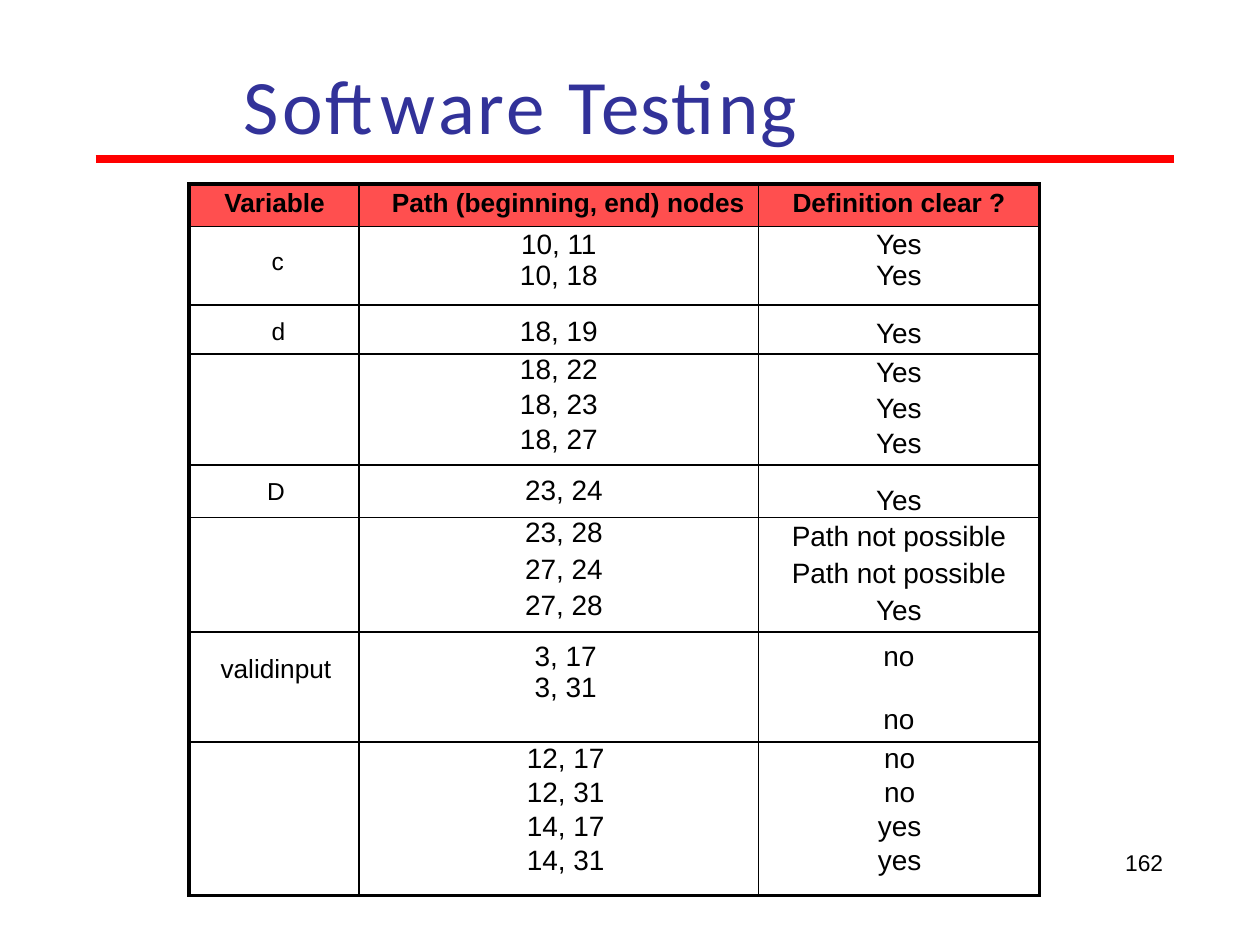
from lxml import etree
from pptx import Presentation
from pptx.dml.color import RGBColor
from pptx.enum.shapes import MSO_CONNECTOR
from pptx.enum.text import MSO_ANCHOR, PP_ALIGN
from pptx.oxml.ns import qn
from pptx.util import Inches, Pt

LEFT, CENTER = PP_ALIGN.LEFT, PP_ALIGN.CENTER
MIDDLE, STRAIGHT = MSO_ANCHOR.MIDDLE, MSO_CONNECTOR.STRAIGHT
BLACK = RGBColor(0x00, 0x00, 0x00)
RED = RGBColor(0xFF, 0x00, 0x00)
CORAL = RGBColor(0xFF, 0x4F, 0x4F)
NAVY = RGBColor(0x32, 0x32, 0x99)


def edge(cell, side, width):
    """Draw one side of a cell; a width of 0 leaves it bare."""
    line = etree.SubElement(cell._tc.get_or_add_tcPr(), qn("a:ln" + side))
    if width:
        line.set("w", str(Pt(width)))
        fill = etree.SubElement(line, qn("a:solidFill"))
        etree.SubElement(fill, qn("a:srgbClr")).set("val", str(BLACK))
    else:
        etree.SubElement(line, qn("a:noFill"))


def style(font, looks):
    for key, value in looks.items():
        if key == "color":
            font.color.rgb = value
        else:
            setattr(font, key, value)


deck = Presentation()
deck.slide_width, deck.slide_height = Inches(10), Inches(7.5)
slide = deck.slides.add_slide(deck.slide_layouts[5])

# Title and the rule under it
title = slide.shapes.title
title.left, title.top = Inches(1.72), Inches(0.4)
title.width, title.height = Inches(4.82), Inches(0.75)
frame = title.text_frame
frame.margin_left = frame.margin_right = frame.margin_bottom = 0
frame.margin_top = Inches(0.09)
frame.vertical_anchor = MIDDLE
para = frame.paragraphs[0]
para.alignment = CENTER
for text, gap in (("Software ", 170), ("Testing", 90)):
    run = para.add_run()
    run.text = text
    style(run.font, {"name": "Calibri", "size": Pt(44), "color": NAVY})
    run._r.get_or_add_rPr().set("spc", str(gap))

rule = slide.shapes.add_connector(
    STRAIGHT, Inches(0.76), Inches(1.26), Inches(9.32), Inches(1.26))
rule.line.color.rgb = RED
rule.line.width = Pt(4.5)
etree.SubElement(rule._element.spPr, qn("a:effectLst"))

# Rows: height, line below, then text, top and left margin of each cell
EMPTY = ("", 0, 0)
ROWS = [
    (0.34, True, ("Variable", 0.04, 0.28),
     ("Path (beginning, end) nodes", 0.04, 0.26), ("Definition clear ?", 0.04, 0)),
    (0.62, True, ("c", 0.17, 0.06), ("10, 11\n10, 18", 0.02, 0), ("Yes\nYes", 0.02, 0)),
    (0.39, True, ("d", 0.11, 0.07), ("18, 19", 0.09, 0), ("Yes", 0.11, 0)),
    (0.28, False, EMPTY, ("18, 22", 0, 0), ("Yes", 0.03, 0)),
    (0.28, False, EMPTY, ("18, 23", 0, 0), ("Yes", 0.03, 0)),
    (0.32, True, EMPTY, ("18, 27", 0, 0), ("Yes", 0.03, 0)),
    (0.42, True, ("D", 0.11, 0.03), ("23, 24", 0.08, 0.08), ("Yes", 0.16, 0)),
    (0.29, False, EMPTY, ("23, 28", 0, 0.08), ("Path not possible", 0.03, 0)),
    (0.29, False, EMPTY, ("27, 24", 0, 0.08), ("Path not possible", 0.03, 0)),
    (0.33, True, EMPTY, ("27, 28", 0, 0.08), ("Yes", 0.04, 0)),
    (0.87, True, ("validinput", 0.18, 0.25), ("3, 17\n3, 31", 0.07, 0.11), ("no\nno", 0.07, 0)),
    (0.27, False, EMPTY, ("12, 17", 0.01, 0.11), ("no", 0.01, 0.01)),
    (0.27, False, EMPTY, ("12, 31", 0.01, 0.11), ("no", 0.01, 0.01)),
    (0.27, False, EMPTY, ("14, 17", 0.01, 0.11), ("yes", 0.01, 0.01)),
    (0.41, True, EMPTY, ("14, 31", 0.01, 0.11), ("yes", 0.01, 0.01)),
]
COLS = (1.35, 3.17, 2.23)
LAST = len(ROWS) - 1

table = slide.shapes.add_table(
    len(ROWS), len(COLS), Inches(1.5), Inches(1.46),
    Inches(sum(COLS)), Inches(sum(row[0] for row in ROWS))).table
table.first_row = table.horz_banding = False
for col, width in zip(table.columns, COLS):
    col.width = Inches(width)

for r, (height, closed, *cells) in enumerate(ROWS):
    table.rows[r].height = Inches(height)
    head = r == 0
    above = 2.25 if head else int(ROWS[r - 1][1])
    below = 2.25 if r == LAST else int(closed)
    for c, (text, top, left) in enumerate(cells):
        cell = table.cell(r, c)
        cell.margin_left, cell.margin_top = Inches(left), Inches(top)
        cell.margin_right = cell.margin_bottom = 0
        edge(cell, "L", 2.25 if c == 0 else 1)
        edge(cell, "R", 2.25 if c == 2 else 1)
        edge(cell, "T", above)
        edge(cell, "B", below)
        if head:
            cell.fill.solid()
            cell.fill.fore_color.rgb = CORAL
        else:
            cell.fill.background()
        wide = text == "validinput"
        size = 15 if head or wide else 14 if c == 0 else 16
        for n, part in enumerate(text.split("\n")):
            frame = cell.text_frame
            para = frame.add_paragraph() if n else frame.paragraphs[0]
            para.alignment = LEFT if wide or head and c < 2 else CENTER
            if n and part == "no":
                para.space_before = Pt(18.4)
            if part:
                run = para.add_run()
                run.text = part
                style(run.font, {"name": "Arial", "size": Pt(size),
                                 "bold": head, "color": BLACK})
            else:
                etree.SubElement(para._p, qn("a:endParaRPr")).set("sz", "1200")

# Page number
page = slide.shapes.add_textbox(
    Inches(8.91), Inches(6.74), Inches(0.35), Inches(0.2)).text_frame
page.word_wrap = True
page.margin_left = Inches(0.02)
page.margin_top = page.margin_right = page.margin_bottom = 0
page.text = "162"
style(page.paragraphs[0].runs[0].font,
      {"name": "Arial", "size": Pt(13), "color": BLACK})

deck.save("out.pptx")
